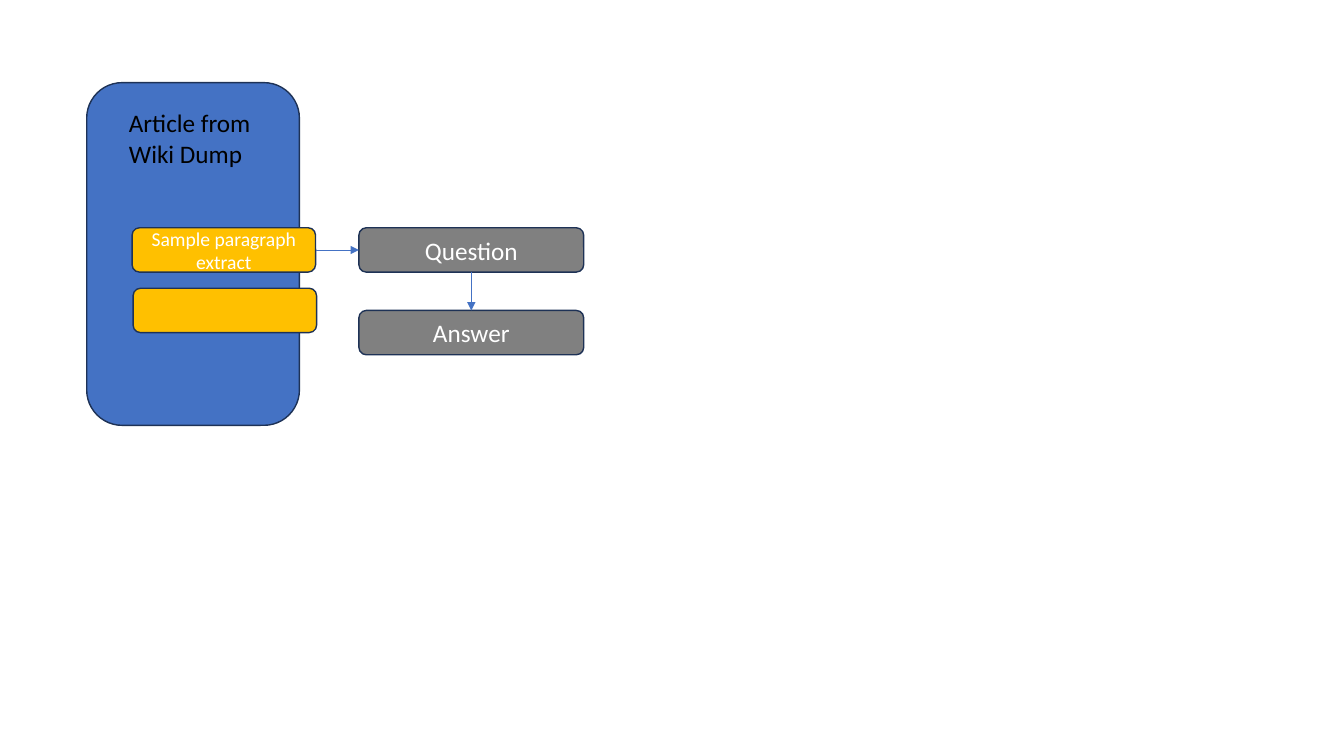
"""Build a slide showing how a question and answer come from an article extract."""
from pptx import Presentation
from pptx.dml.color import RGBColor
from pptx.enum.shapes import MSO_CONNECTOR as Connector, MSO_SHAPE as Shape
from pptx.enum.text import MSO_ANCHOR as Anchor, MSO_AUTO_SIZE as AutoSize, PP_ALIGN as Align
from pptx.oxml.ns import qn
from pptx.util import Inches, Pt
from lxml.etree import SubElement

BLUE = RGBColor(0x44, 0x72, 0xC4)
NAVY = RGBColor(0x1E, 0x32, 0x56)
AMBER = RGBColor(0xFF, 0xC0, 0x00)
GREY = RGBColor(0x80, 0x80, 0x80)
WHITE = RGBColor(0xFF, 0xFF, 0xFF)
BLACK = RGBColor(0x00, 0x00, 0x00)
TOP, LEFT, BOTTOM, RIGHT = range(4)


class Diagram:
    """Hold the style and the slide, measured in cells of a tenth of an inch."""
    font = "Calibri"
    cell = Inches(0.1)

    def __init__(self, slide):
        self.slide = slide

    def grid(self, *cells):
        """Turn columns and rows into lengths."""
        return [round(count * self.cell) for count in cells]

    def styled_run(self, paragraph, text, size, color):
        """Add one styled run."""
        run = paragraph.add_run()
        run.text = text
        run.font.name, run.font.size = self.font, Pt(size)
        run.font.color.rgb = color

    def box(self, col, row, cols, rows, fill, text="", size=18):
        """Add a rounded box with an optional centred label."""
        box = self.slide.shapes.add_shape(
            Shape.ROUNDED_RECTANGLE, *self.grid(col, row, cols, rows))
        box.shadow.inherit = False
        box.fill.solid()
        box.fill.fore_color.rgb = fill
        box.line.color.rgb, box.line.width = NAVY, Pt(1)
        if text:
            frame = box.text_frame
            frame.word_wrap, frame.vertical_anchor = True, Anchor.MIDDLE
            frame.paragraphs[0].alignment = Align.CENTER
            self.styled_run(frame.paragraphs[0], text, size, WHITE)
        return box

    def heading(self, col, row, cols, rows, lines, size=18):
        """Add unwrapped text, one paragraph a line."""
        frame = self.slide.shapes.add_textbox(*self.grid(col, row, cols, rows)).text_frame
        frame.word_wrap, frame.auto_size = False, AutoSize.SHAPE_TO_FIT_TEXT
        for index, line in enumerate(lines):
            paragraph = frame.add_paragraph() if index else frame.paragraphs[0]
            self.styled_run(paragraph, line, size, BLACK)

    def arrow(self, source, source_side, target, target_side):
        """Join two boxes with an arrow glued to their sides."""
        arrow = self.slide.shapes.add_connector(Connector.STRAIGHT, 0, 0, 0, 0)
        arrow.begin_connect(source, source_side)
        arrow.end_connect(target, target_side)
        arrow.line.color.rgb, arrow.line.width = BLUE, Pt(0.5)
        properties = arrow.element.spPr
        SubElement(properties.find(qn("a:ln")), qn("a:tailEnd"), type="triangle")
        SubElement(properties, qn("a:effectLst"))


deck = Presentation()
deck.slide_width, deck.slide_height = Inches(13.33), Inches(7.5)
diagram = Diagram(deck.slides.add_slide(deck.slide_layouts[6]))

box_rows = 4.4
extract_row = 22.6
extract_cols = 18.2
answer_col, answer_cols = 35.6, 22.3

diagram.box(8.6, 8.2, 21.1, 34, BLUE)
extract = diagram.box(13.1, extract_row, extract_cols, box_rows, AMBER,
                      "Sample paragraph extract", 14)
diagram.box(13.2, extract_row + 6, extract_cols, box_rows, AMBER)
diagram.heading(11.8, 10.2, 14.8, 7.1, ["Article from", "Wiki Dump"])
question, answer = [
    diagram.box(answer_col, extract_row + step * 8.2, answer_cols, box_rows, GREY, label)
    for step, label in enumerate(["Question", "Answer"])]
diagram.arrow(question, BOTTOM, answer, TOP)
diagram.arrow(extract, RIGHT, question, LEFT)

deck.save("out.pptx")
